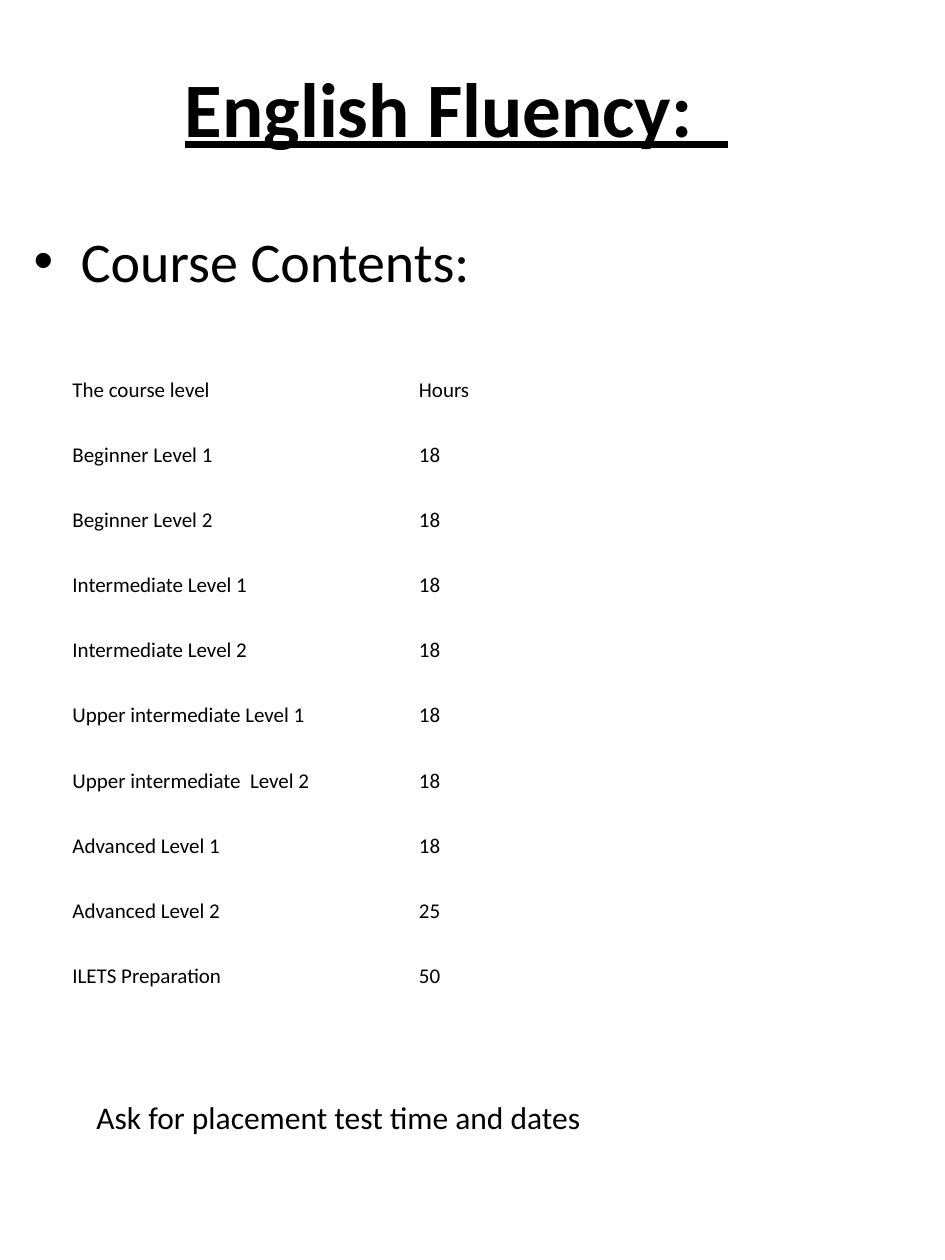
from dataclasses import dataclass

from pptx import Presentation
from pptx.dml.color import RGBColor
from pptx.enum import text
from pptx.util import Pt


@dataclass(frozen=True)
class Theme:
    font: str = "Calibri"
    ink: RGBColor = RGBColor(0, 0, 0)
    title: int = 44
    heading: int = 32
    note: int = 18
    cell: int = 12


def apply(target, values):
    for name, value in values.items():
        setattr(target, name, value)


class Sheet:
    def __init__(self, theme, slide):
        self.theme = theme
        self.slide = slide

    def place(self, shape, box):
        apply(shape, dict(zip(("left", "top", "width", "height"), map(Pt, box))))

    def add_line(self, frame, wording, size, paragraph_format=None, **font_format):
        line = frame.paragraphs[0]
        run = line.add_run()
        run.text = wording
        apply(line, paragraph_format or {})
        apply(run.font, {"name": self.theme.font, "size": Pt(size), **font_format})
        run.font.color.rgb = self.theme.ink
        return line

    def title(self, wording, box):
        heading = self.slide.shapes.title
        self.place(heading, box)
        apply(heading.text_frame, {
            "auto_size": text.MSO_AUTO_SIZE.NONE,
            "vertical_anchor": text.MSO_ANCHOR.MIDDLE,
        })
        self.add_line(heading.text_frame, wording, self.theme.title,
                      {"alignment": text.PP_ALIGN.CENTER}, bold=True, underline=True)

    def bullet(self, wording, box):
        body = self.slide.placeholders[1]
        self.place(body, box)
        body.text_frame.auto_size = text.MSO_AUTO_SIZE.NONE
        line = self.add_line(body.text_frame, wording, self.theme.heading,
                             {"space_before": Pt(0)})
        properties = line._p.get_or_add_pPr()
        properties.set("marL", str(Pt(27)))
        properties.set("indent", str(Pt(-27)))

    def table(self, rows, box):
        frame = self.slide.shapes.add_table(len(rows), len(rows[0]), *map(Pt, box))
        grid = frame.table
        apply(grid, {"first_row": False, "horz_banding": False})
        for row, values in enumerate(rows):
            for column, value in enumerate(values):
                cell = grid.cell(row, column)
                cell.fill.background()
                apply(cell, {
                    "margin_left": Pt(5.4), "margin_right": Pt(5.4),
                    "margin_top": Pt(3.6), "margin_bottom": Pt(3.6),
                })
                self.add_line(cell.text_frame, value, self.theme.cell,
                              {"line_spacing": 1.15})

    def note(self, wording, box):
        frame = self.slide.shapes.add_textbox(*map(Pt, box)).text_frame
        apply(frame, {
            "word_wrap": True,
            "auto_size": text.MSO_AUTO_SIZE.SHAPE_TO_FIT_TEXT,
        })
        self.add_line(frame, wording, self.theme.note)


COURSES = [
    ("The course level", "Hours"),
    ("Beginner Level 1", "18"),
    ("Beginner Level 2", "18"),
    ("Intermediate Level 1", "18"),
    ("Intermediate Level 2", "18"),
    ("Upper intermediate Level 1", "18"),
    ("Upper intermediate  Level 2", "18"),
    ("Advanced Level 1", "18"),
    ("Advanced Level 2", "25"),
    ("ILETS Preparation", "50"),
]


def main():
    deck = Presentation()
    apply(deck, {"slide_width": Pt(540), "slide_height": Pt(720)})
    sheet = Sheet(Theme(), deck.slides.add_slide(deck.slide_layouts[1]))
    sheet.title("English Fluency:  ", (18, 0.75, 486, 120))
    sheet.bullet("Course Contents:", (12, 126, 483, 54))
    sheet.table(COURSES, (36, 210, 396, 372))
    sheet.note("Ask for placement test time and dates", (48, 624, 384, 29))
    deck.save("out.pptx")


if __name__ == "__main__":
    main()
